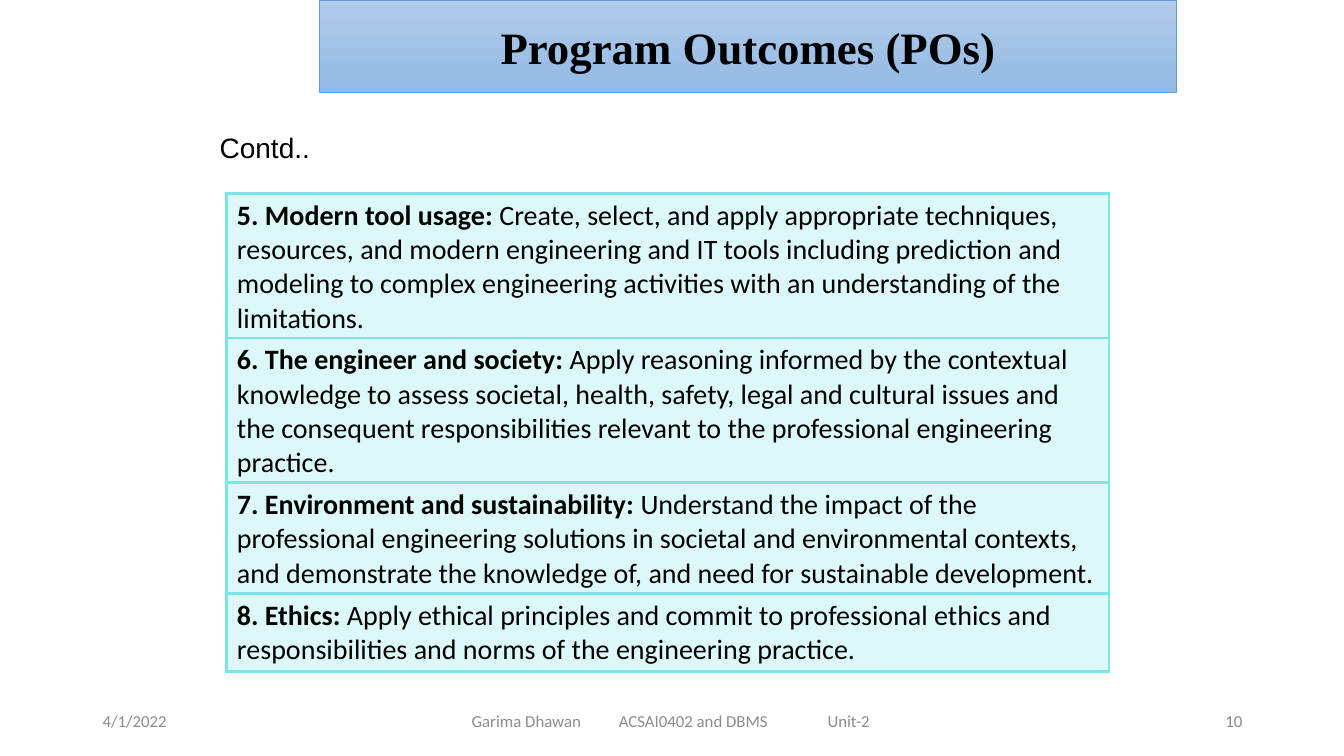
from lxml import etree
from pptx import Presentation
from pptx.dml.color import RGBColor
from pptx.enum import shapes, text
from pptx.oxml import ns
from pptx.util import Inches, Pt

BLACK = RGBColor(0x00, 0x00, 0x00)
FOOTER_GREY = RGBColor(0x8C, 0x8C, 0x8C)
NUMBER_GREY = RGBColor(0x89, 0x89, 0x89)
AQUA = RGBColor(0x7B, 0xE5, 0xE5)
BANNER_TOP = RGBColor(0xB1, 0xCB, 0xE9)
BANNER_BOTTOM = RGBColor(0x93, 0xB9, 0xE4)
BANNER_LINE = RGBColor(0x5B, 0x9B, 0xD5)
LEFT, CENTER, RIGHT = text.PP_ALIGN.LEFT, text.PP_ALIGN.CENTER, text.PP_ALIGN.RIGHT
MIDDLE, TOP = text.MSO_ANCHOR.MIDDLE, text.MSO_ANCHOR.TOP


def add_run(p, words, color=BLACK, **formats):
    r = p.add_run()
    r.text = words
    r.font.color.rgb = color
    for name, value in formats.items():
        setattr(r.font, name, value)


def add_child(parent, tag, **attributes):
    return etree.SubElement(parent, ns.qn(tag), attributes)


prs = Presentation()
prs.slide_width, prs.slide_height = Inches(13.33), Inches(7.5)
s = prs.slides.add_slide(prs.slide_layouts[6])

# Footer and continuation label
labels = [
    ("4/1/2022", (0.92, 6.95, 3, 0.4), LEFT, MIDDLE, True, FOOTER_GREY, "Calibri", 12),
    ("Garima Dhawan\tACSAI0402 and DBMS\tUnit-2", (4.58, 6.95, 4.34, 0.4),
     LEFT, MIDDLE, True, FOOTER_GREY, "Calibri", 12),
    ("10", (9.42, 6.95, 3, 0.4), RIGHT, MIDDLE, True, NUMBER_GREY, "Calibri", 12),
    ("Contd..", (2.08, 1.25, 1.1, 0.44), LEFT, TOP, False, BLACK, "Arial", 20),
]
for words, box, align, anchor, wrap, color, font, size in labels:
    tf = s.shapes.add_textbox(*map(Inches, box)).text_frame
    tf.word_wrap = wrap
    tf.vertical_anchor = anchor
    p = tf.paragraphs[0]
    p.alignment = align
    if "\t" in words:
        tabs = add_child(p._p.get_or_add_pPr(), "a:tabLst")
        for stop in (1.46, 3.53):
            add_child(tabs, "a:tab", pos=str(Inches(stop)), algn="l")
    add_run(p, words, color, name=font, size=Pt(size))

# Outcomes table
outcomes = [
    (1.43, "5. Modern tool usage: ",
     "Create, select, and apply appropriate techniques, resources, and modern engineering "
     "and IT tools including prediction and modeling to complex engineering activities "
     "with an understanding of the limitations."),
    (1.43, "6. The engineer and society:",
     " Apply reasoning informed by the contextual knowledge to assess societal, health, "
     "safety, legal and cultural issues and the consequent responsibilities relevant to "
     "the professional engineering practice."),
    (1.1, "7. Environment and sustainability: ",
     "Understand the impact of the professional engineering solutions in societal and "
     "environmental contexts, and demonstrate the knowledge of, and need for sustainable "
     "development."),
    (0.77, "8. Ethics:",
     " Apply ethical principles and commit to professional ethics and responsibilities "
     "and norms of the engineering practice."),
]
table = s.shapes.add_table(len(outcomes), 1, Inches(2.25), Inches(1.92),
                           Inches(8.75), Inches(4.73)).table
table.first_row = table.horz_banding = False
for i, (height, heading, body) in enumerate(outcomes):
    table.rows[i].height = Inches(height)
    cell = table.cell(i, 0)
    p = cell.text_frame.paragraphs[0]
    add_run(p, heading, name="Calibri", size=Pt(20), bold=True)
    add_run(p, body, name="Calibri", size=Pt(20), bold=False)
    tcPr = cell._tc.get_or_add_tcPr()
    for side in "LRTB":
        ln = add_child(tcPr, f"a:ln{side}", w=str(Pt(2.25)))
        add_child(add_child(ln, "a:solidFill"), "a:srgbClr", val=str(AQUA))
    cell.fill.solid()
    cell.fill.fore_color.rgb = AQUA
    add_child(tcPr.find(ns.qn("a:solidFill"))[0], "a:alpha", val="25000")

# Title banner
banner = s.shapes.add_shape(shapes.MSO_SHAPE.RECTANGLE, Inches(3.17), 0,
                            Inches(8.5), Inches(0.92))
banner.shadow.inherit = False
banner.fill.gradient()
banner.fill.gradient_angle = 270
for stop, color in zip(banner.fill.gradient_stops, (BANNER_TOP, BANNER_BOTTOM)):
    stop.color.rgb = color
banner.line.color.rgb = BANNER_LINE
banner.line.width = Pt(0.5)
banner.text_frame.vertical_anchor = MIDDLE
p = banner.text_frame.paragraphs[0]
p.alignment = CENTER
add_run(p, "Program Outcomes (POs)", name="Times New Roman", size=Pt(32), bold=True)

prs.save("out.pptx")
